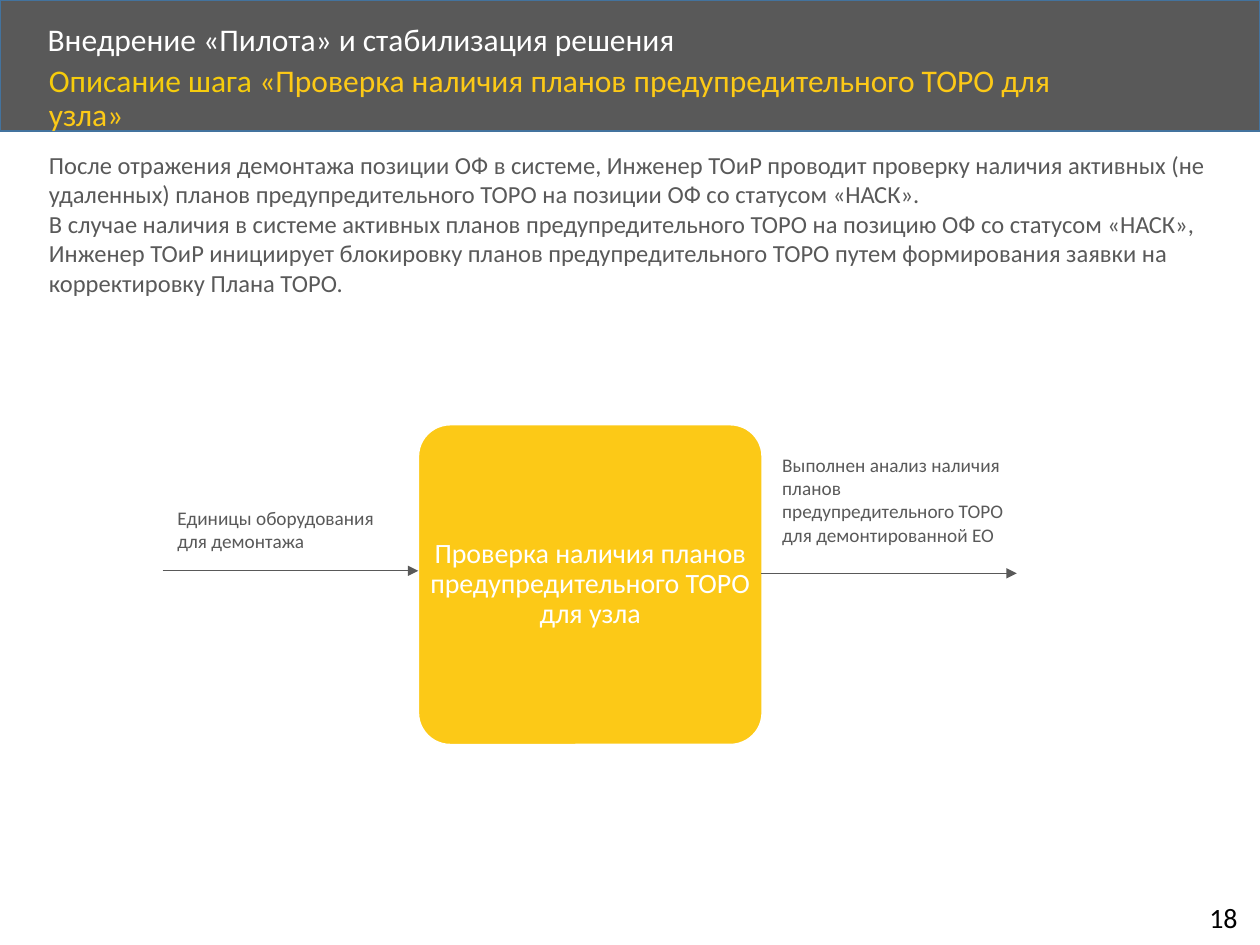
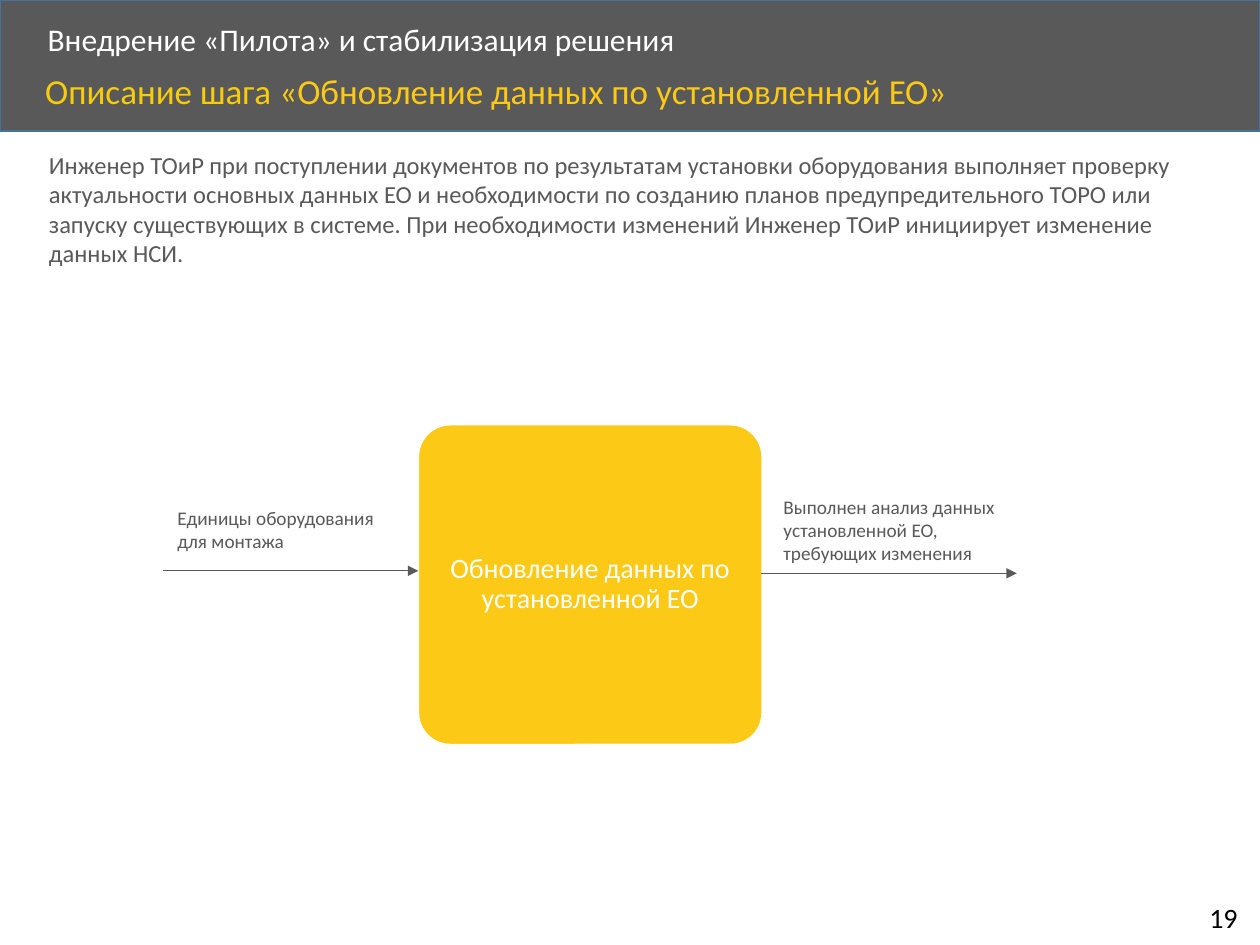
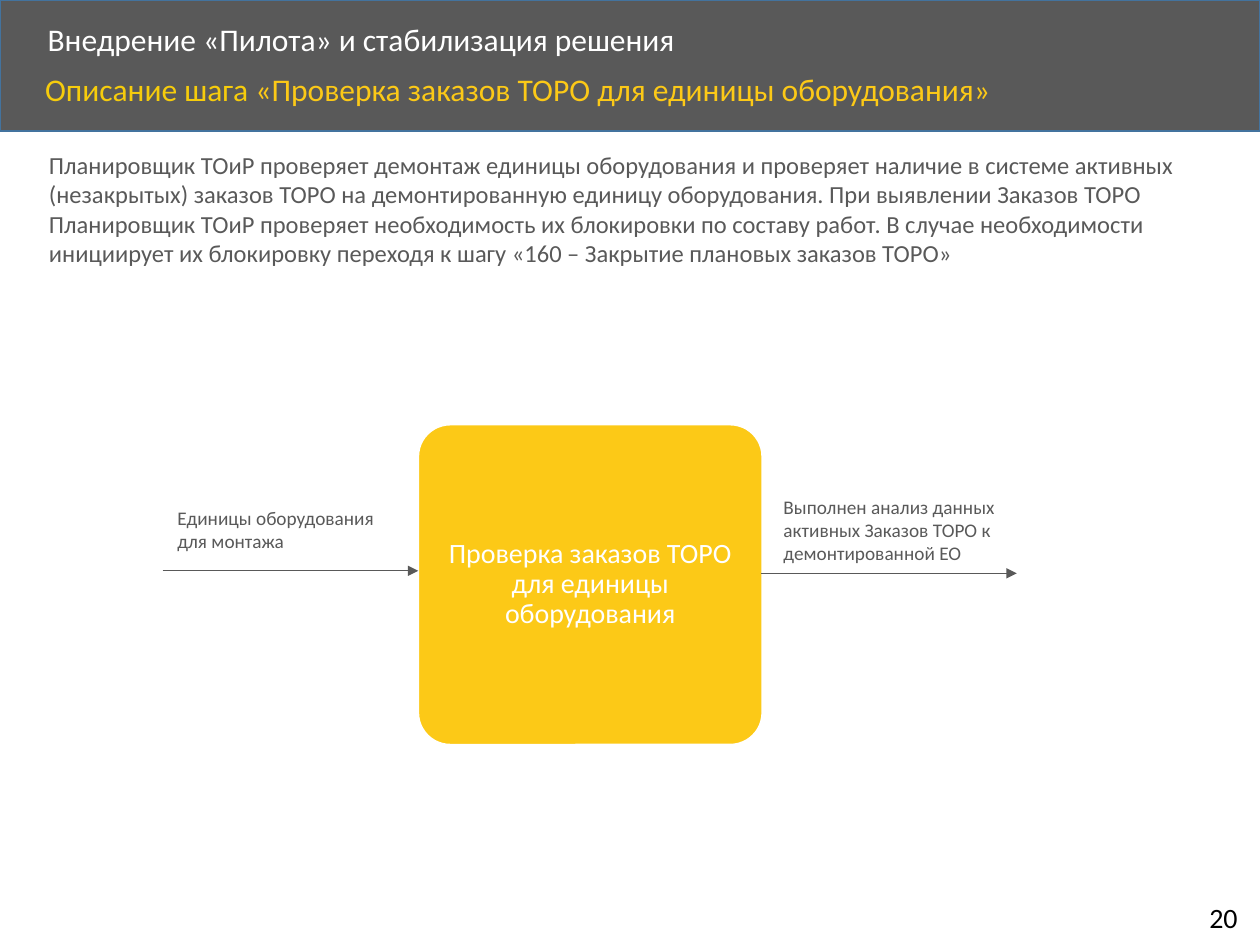
from pptx import Presentation
from pptx.dml.color import RGBColor
from pptx.enum.shapes import MSO_CONNECTOR as Connector, MSO_SHAPE as Shape
from pptx.enum.text import MSO_ANCHOR as Anchor, PP_ALIGN as Align
from pptx.oxml.ns import qn
from pptx.util import Inches, Pt
from lxml import etree

FONT = "Calibri"
GREY, BAND_EDGE = "595959", "43739E"
YELLOW, STEP_YELLOW = "FCC917", "F6CC0C"
WHITE, BLACK = "FFFFFF", "000000"

SECTION = "Внедрение «Пилота» и стабилизация решения"
STEP_PREFIX = "Описание шага "
FIRST_NUMBER = 18

BAND_BOX = (0, 0, 10, 1.04)
BODY_BOX = (0.29, 1.14, 9.46, 1.28)
DIAGRAM_BOX = (1.29, 3.37, 6.78, 2.54)
NUMBER_BOX = (9.5, 7.1, 0.46, 0.37)

STEPS = [
    dict(
        title="«Проверка наличия планов предупредительного ТОРО для узла»",
        title_at=(0.29, 0.47), title_size=18,
        body=[
            "После отражения демонтажа позиции ОФ в системе, Инженер ТОиР проводит проверку "
            "наличия активных (не удаленных) планов предупредительного ТОРО на позиции ОФ "
            "со статусом «НАСК».",
            "В случае наличия в системе активных планов предупредительного ТОРО на позицию ОФ "
            "со статусом «НАСК», Инженер ТОиР инициирует блокировку планов предупредительного "
            "ТОРО путем формирования заявки на корректировку Плана ТОРО.",
        ],
        source="Единицы оборудования для демонтажа",
        action="Проверка наличия планов предупредительного ТОРО для узла",
        result="Выполнен анализ наличия планов предупредительного ТОРО для демонтированной ЕО",
        result_at=(4.82, 0.18),
    ),
    dict(
        title="«Обновление данных по установленной ЕО»",
        title_at=(0.26, 0.54), title_size=20,
        body=[
            "Инженер ТОиР при поступлении документов по результатам установки оборудования "
            "выполняет проверку актуальности основных данных ЕО и необходимости по созданию "
            "планов предупредительного ТОРО или запуску существующих в системе. При "
            "необходимости изменений Инженер ТОиР инициирует изменение данных НСИ.",
        ],
        source="Единицы оборудования для монтажа",
        action="Обновление данных по установленной ЕО",
        result="Выполнен анализ данных установленной ЕО, требующих изменения",
        result_at=(4.83, 0.51),
    ),
    dict(
        title="«Проверка заказов ТОРО для единицы оборудования»",
        title_at=(0.26, 0.54), title_size=18,
        body=[
            "Планировщик ТОиР проверяет демонтаж единицы оборудования и проверяет наличие в "
            "системе активных (незакрытых) заказов ТОРО на демонтированную единицу "
            "оборудования. При выявлении Заказов ТОРО Планировщик ТОиР проверяет необходимость "
            "их блокировки по составу работ. В случае необходимости инициирует их блокировку "
            "переходя к шагу «160 – Закрытие плановых заказов ТОРО»",
        ],
        source="Единицы оборудования для монтажа",
        action="Проверка заказов ТОРО для единицы оборудования",
        result="Выполнен анализ данных активных Заказов ТОРО к демонтированной ЕО",
        result_at=(4.83, 0.51),
    ),
]


def color(value):
    return RGBColor.from_string(value)


def inches(*lengths):
    return [Inches(length) for length in lengths]


def style(para, size, tint, spacing=None, align=Align.LEFT):
    para.alignment = align
    if spacing:
        para.line_spacing = spacing
    para.font.name, para.font.size = FONT, Pt(size)
    para.font.color.rgb = color(tint)


def add_text(page, box, texts, size, tint, spacing=None, anchor=Anchor.TOP, wrap=True):
    frame = page.shapes.add_textbox(*inches(*box)).text_frame
    frame.word_wrap, frame.vertical_anchor = wrap, anchor
    for index, text in enumerate(texts):
        para = frame.add_paragraph() if index else frame.paragraphs[0]
        para.text = text
        style(para, size, tint, spacing)
    return frame


def add_box(page, kind, box, fill, edge):
    shape = page.shapes.add_shape(kind, *inches(*box))
    shape.shadow.inherit = False
    shape.fill.solid()
    shape.fill.fore_color.rgb = color(fill)
    shape.line.color.rgb = color(edge)
    shape.line.width = Pt(1)
    return shape


def add_arrow(page, left, top, length):
    arrow = page.shapes.add_connector(
        Connector.STRAIGHT, *inches(left, top, left + length, top))
    arrow.line.color.rgb = color(GREY)
    arrow.line.width = Pt(0.5)
    etree.SubElement(arrow.line._get_or_add_ln(), qn("a:tailEnd"), type="triangle")
    etree.SubElement(arrow._element.spPr, qn("a:effectLst"))


def draw_header(page, box, step):
    left, top = box[:2]
    add_box(page, Shape.RECTANGLE, box, GREY, BAND_EDGE)
    add_text(page, (left + 0.28, top + 0.14, 8.07, 0.38), [SECTION], 18, WHITE,
             0.9, Anchor.MIDDLE)
    # Step title in two shades of yellow
    title_left, title_top = step["title_at"]
    frame = add_text(page, (left + title_left, top + title_top, 8.67, 0.45),
                     [STEP_PREFIX], step["title_size"], STEP_YELLOW, 0.9)
    span = frame.paragraphs[0].add_run()
    span.text = step["title"]
    span.font.color.rgb = color(YELLOW)


def draw_diagram(page, box, step):
    left, top, width, height = box
    arrow_length, label_width = 2.03, 2
    # Central action
    action = add_box(page, Shape.ROUNDED_RECTANGLE,
                     (left + arrow_length, top, width - 2 * arrow_length + 0.01, height),
                     YELLOW, WHITE)
    action.adjustments[0] = 0.1
    frame = action.text_frame
    frame.word_wrap, frame.vertical_anchor = True, Anchor.MIDDLE
    frame.margin_left = frame.margin_right = frame.margin_top = frame.margin_bottom = 0
    frame.text = step["action"]
    style(frame.paragraphs[0], 16, WHITE, 0.9, Align.CENTER)
    # Incoming and outgoing flows
    add_arrow(page, left, top + 1.16, arrow_length)
    add_arrow(page, left + width - arrow_length, top + 1.18, arrow_length)
    result_left, result_top = step["result_at"]
    add_text(page, (left + 0.02, top + 0.6, label_width, 0.47), [step["source"]], 11, GREY)
    add_text(page, (left + result_left, top + result_top, label_width, 0.66),
             [step["result"]], 11, GREY)


def draw_step(page, step, number):
    draw_header(page, BAND_BOX, step)
    add_text(page, BODY_BOX, step["body"], 14, GREY)
    draw_diagram(page, DIAGRAM_BOX, step)
    add_text(page, NUMBER_BOX, [str(number)], 16, BLACK, wrap=False)


def main():
    deck = Presentation()
    deck.slide_width, deck.slide_height = inches(10, 7.5)
    for number, step in enumerate(STEPS, FIRST_NUMBER):
        draw_step(deck.slides.add_slide(deck.slide_layouts[6]), step, number)
    deck.save("out.pptx")


if __name__ == "__main__":
    main()
